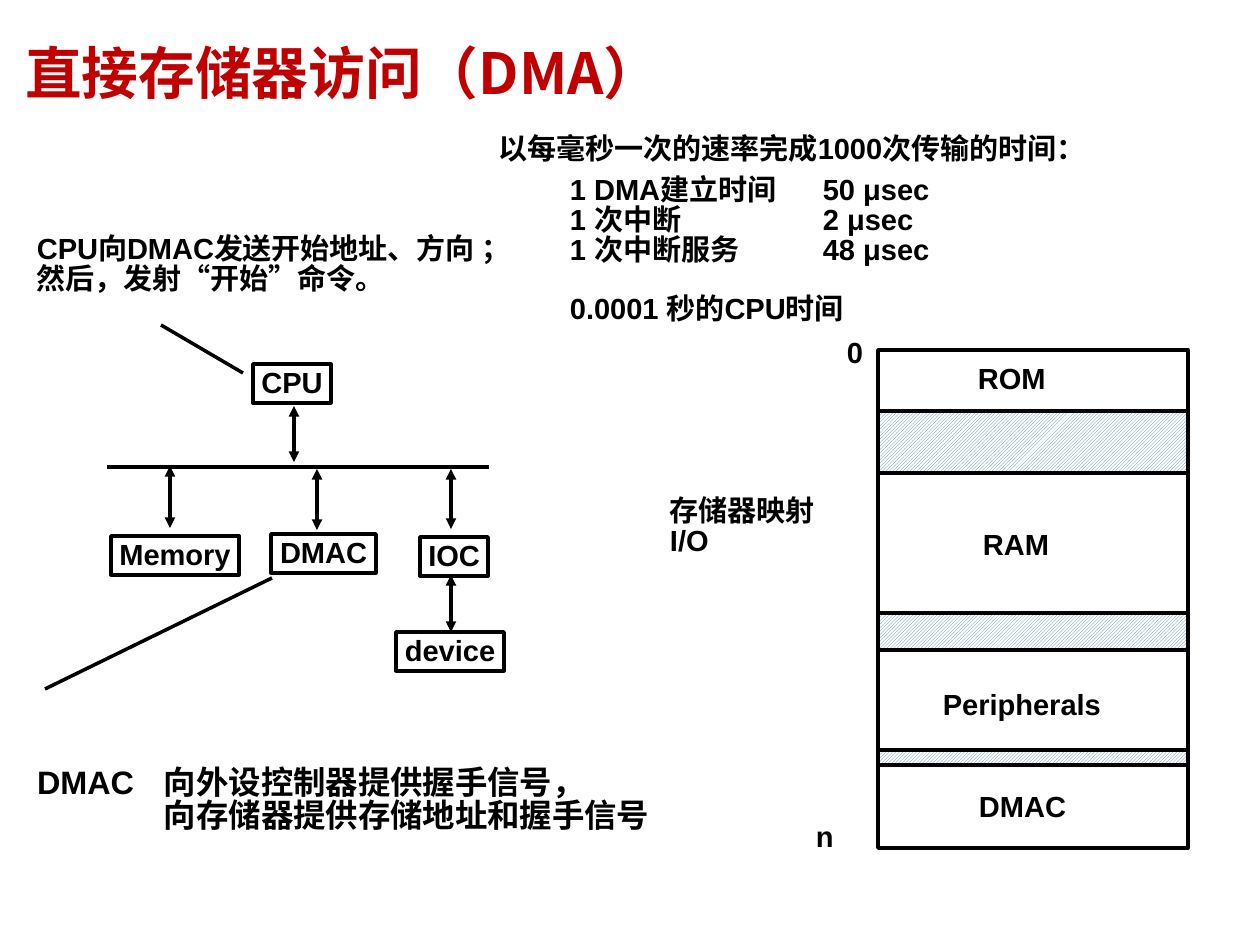
from lxml.etree import SubElement
from pptx import Presentation
from pptx.dml.color import RGBColor
from pptx.enum.dml import MSO_PATTERN
from pptx.enum.shapes import MSO_CONNECTOR, MSO_SHAPE
from pptx.enum.text import MSO_ANCHOR, PP_ALIGN
from pptx.oxml.ns import qn
from pptx.util import Emu, Pt

BLACK = RGBColor(0x00, 0x00, 0x00)
WHITE = RGBColor(0xFF, 0xFF, 0xFF)
RED = RGBColor(0xC0, 0x00, 0x00)
HATCH_BLUE = RGBColor(0x4F, 0x81, 0xBD)
CJK = "Noto Sans CJK SC"
LINE_HEIGHT = 37


def px(n):
    return Emu(round(n * 914400 / 126))


def write(frame, text, *, size=16.6, font="Arial", color=BLACK, align=PP_ALIGN.LEFT,
          anchor=MSO_ANCHOR.TOP, spacing=0.85, inset=(8, 4), wrap=False, tab=None):
    """Fill a text frame, one paragraph per line of text."""
    frame.word_wrap = wrap
    frame.vertical_anchor = anchor
    frame.margin_left = frame.margin_right = px(inset[0])
    frame.margin_top = frame.margin_bottom = px(inset[1])
    for i, line in enumerate(text.split("\n")):
        paragraph = frame.add_paragraph() if i else frame.paragraphs[0]
        paragraph.alignment = align
        paragraph.line_spacing = spacing
        if tab:
            stops = SubElement(paragraph._p.get_or_add_pPr(), qn("a:tabLst"))
            SubElement(stops, qn("a:tab"), pos=str(px(tab)), algn="l")
        run = paragraph.add_run()
        run.text = line
        run.font.size = Pt(size)
        run.font.bold = True
        run.font.name = font
        run.font.color.rgb = color
        SubElement(run._r.get_or_add_rPr(), qn("a:ea"), typeface=CJK)


def add_text(slide, left, top, width, height, text, **style):
    box = slide.shapes.add_textbox(px(left), px(top), px(width), px(height))
    write(box.text_frame, text, **style)
    return box.text_frame


def add_box(slide, left, top, width, height):
    box = slide.shapes.add_shape(MSO_SHAPE.RECTANGLE, px(left), px(top), px(width), px(height))
    box.shadow.inherit = False
    box.fill.background()
    box.line.color.rgb = BLACK
    box.line.width = Pt(2)
    return box


def add_line(slide, x1, y1, x2, y2, arrows=False):
    line = slide.shapes.add_connector(MSO_CONNECTOR.STRAIGHT, px(x1), px(y1), px(x2), px(y2))
    line.line.color.rgb = BLACK
    line.line.width = Pt(2)
    properties = line._element.spPr
    if arrows:
        for end in ("a:headEnd", "a:tailEnd"):
            SubElement(properties.find(qn("a:ln")), qn(end), type="triangle")
    SubElement(properties, qn("a:effectLst"))


def add_title(slide, left, top, width, height):
    add_text(slide, left, top, width, height, "直接存储器访问（DMA）", size=32.4, font=CJK,
             color=RED, anchor=MSO_ANCHOR.MIDDLE, spacing=1.0, inset=(11, 5), wrap=True)


def add_timing(slide, left, top):
    add_text(slide, left, top, 611, LINE_HEIGHT, "以每毫秒一次的速率完成1000次传输的时间：")
    costs = add_text(slide, left + 71, top + 41, 378, 156,
                     "1 DMA建立时间\t50 μsec\n1 次中断\t2 μsec\n"
                     "1 次中断服务\t48 μsec\n0.0001 秒的CPU时间", tab=253)
    costs.paragraphs[-1].space_before = Pt(17)


def add_bus_diagram(slide, left, top):
    """Draw the bus, its devices and the two lines leading to the notes."""
    nodes = [("CPU", 208, 39, 78), ("Memory", 66, 211, 128), ("DMAC", 226, 209, 105),
             ("IOC", 375, 212, 68), ("device", 351, 307, 108)]
    for name, x, y, width in nodes:
        node = add_box(slide, left + x, top + y, width, 39)
        write(node.text_frame, name, align=PP_ALIGN.CENTER, anchor=MSO_ANCHOR.MIDDLE,
              spacing=0.92)

    bus = (62, 142, 444, 142)
    cpu_callout = (198, 48, 116, 0)
    dmac_callout = (227, 253, 0, 364)
    for x1, y1, x2, y2 in (bus, cpu_callout, dmac_callout):
        add_line(slide, left + x1, top + y1, left + x2, top + y2)

    links = [(249, 81, 137), (125, 141, 203), (272, 144, 205), (406, 144, 204), (406, 250, 307)]
    for x, start, end in links:
        add_line(slide, left + x, top + start, left + x, top + end, arrows=True)


def add_notes(slide, left, command_top, signal_top):
    add_text(slide, left, command_top, 504, 67,
             "CPU向DMAC发送开始地址、方向 ；\n然后，发射“开始”命令。")
    add_text(slide, left, signal_top, 738, 73,
             "DMAC\t向外设控制器提供握手信号，\n\t向存储器提供存储地址和握手信号",
             size=18.5, tab=127, wrap=True)


def add_memory_map(slide, left, top, width, height):
    space = add_box(slide, left, top, width, height)
    space.fill.solid()
    space.fill.fore_color.rgb = WHITE

    for y, gap_height in ((61, 62), (263, 37), (400, 15)):
        gap = add_box(slide, left, top + y, width, gap_height)
        gap.fill.patterned()
        gap.fill.pattern = MSO_PATTERN.LIGHT_UPWARD_DIAGONAL
        gap.fill.fore_color.rgb = HATCH_BLUE
        gap.fill.back_color.rgb = WHITE

    labels = [("ROM", 92, 12, 84), ("RAM", 97, 178, 83), ("Peripherals", 57, 338, 176),
              ("DMAC", 93, 440, 105), ("0", -39, -14, 33), ("n", -70, 470, 34)]
    for name, x, y, label_width in labels:
        add_text(slide, left + x, top + y, label_width, LINE_HEIGHT, name)
    add_text(slide, left - 216, top + 144, 180, 67, "存储器映射 I/O", wrap=True)


def main():
    deck = Presentation()
    deck.slide_width, deck.slide_height = px(1260), px(945)
    slide = deck.slides.add_slide(deck.slide_layouts[6])
    add_title(slide, 14, 28, 1052, 87)
    add_timing(slide, 491, 132)
    add_notes(slide, 29, 232, 764)
    add_bus_diagram(slide, 45, 325)
    add_memory_map(slide, 878, 350, 310, 498)
    deck.save("out.pptx")


if __name__ == "__main__":
    main()
